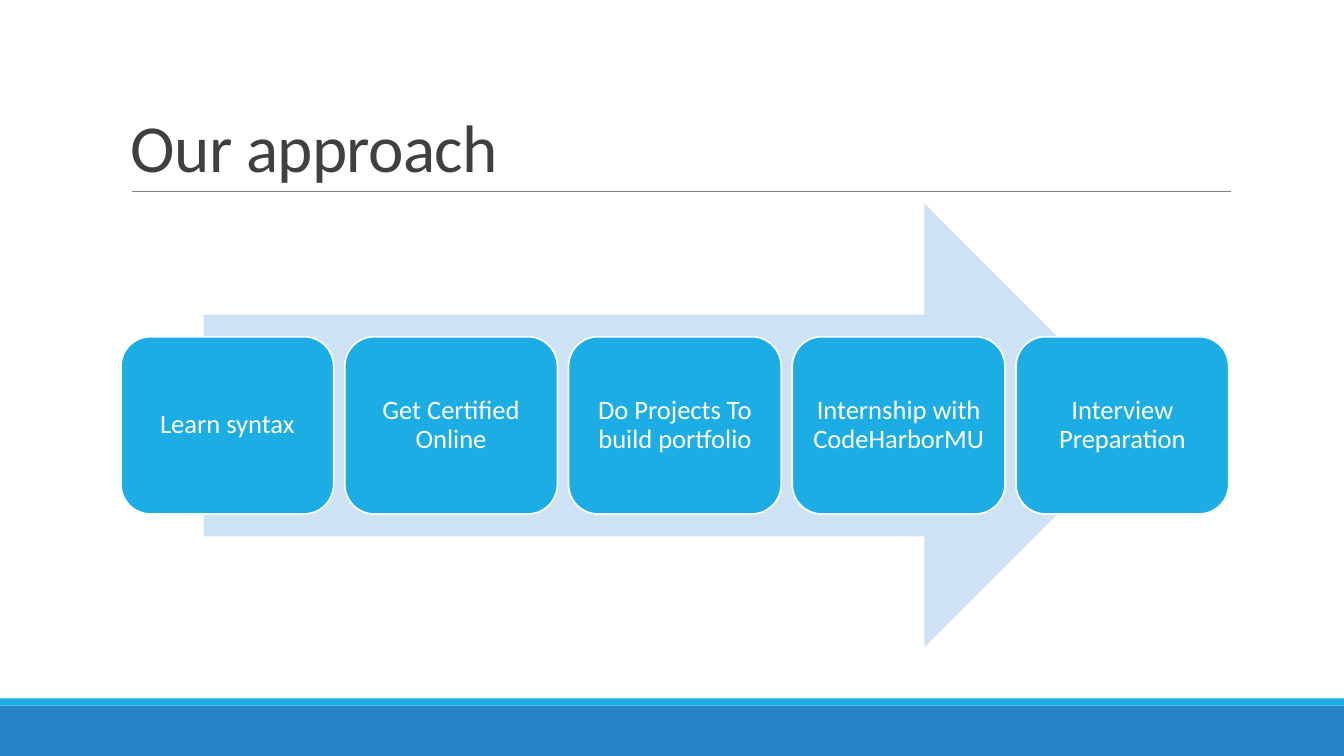
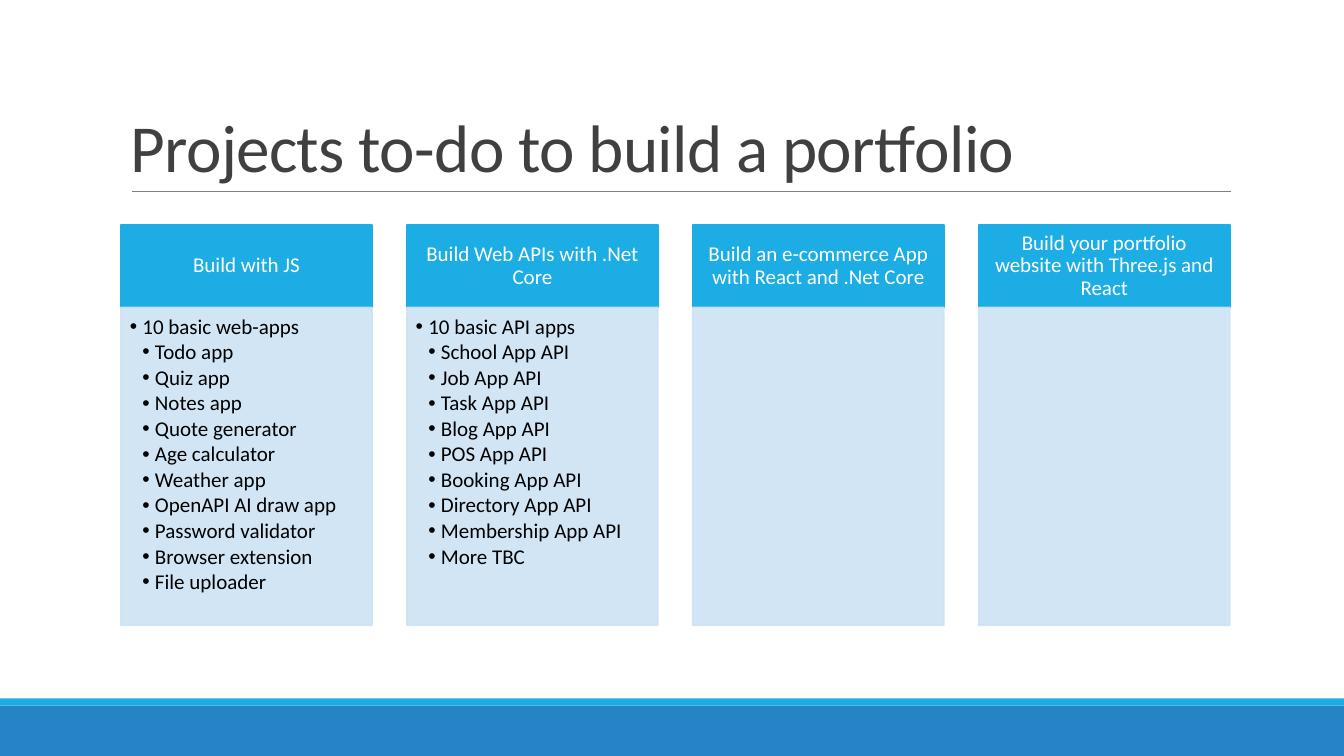
from lxml.etree import SubElement
from pptx import Presentation
from pptx.dml.color import RGBColor
from pptx.enum.shapes import MSO_CONNECTOR as Connector, MSO_SHAPE as Shape
from pptx.enum.text import MSO_ANCHOR as Anchor, PP_ALIGN as Align
from pptx.oxml.ns import qn
from pptx.util import Pt

WHITE = RGBColor(0xFF, 0xFF, 0xFF)
BLACK = RGBColor(0, 0, 0)
CHARCOAL = RGBColor(0x40, 0x40, 0x40)
GRAY = RGBColor(0x80, 0x80, 0x80)
SKY = RGBColor(0x1C, 0xAD, 0xE4)
BLUE = RGBColor(0x26, 0x83, 0xC6)
PALE = RGBColor(0xCD, 0xE3, 0xF5)

FONT = "Calibri"
WIDTH, HEIGHT = 960, 540
LEFT = 86.4


def set_alpha(fill, percent):
    color = fill._xPr.find(qn("a:solidFill"))[0]
    SubElement(color, qn("a:alpha"), val=str(percent * 1000))


def write_text(frame, text, size=15, color=WHITE, align=Align.CENTER, anchor=Anchor.MIDDLE,
               insets=(7.2, 3.6, 7.2, 3.6), line_spacing=0.9, tracking=None,
               bullet_levels=None, space_after=0):
    frame.word_wrap = True
    frame.vertical_anchor = anchor
    frame.margin_left, frame.margin_top, frame.margin_right, frame.margin_bottom = map(Pt, insets)
    frame.text = text
    for index, paragraph in enumerate(frame.paragraphs):
        paragraph.alignment = align
        paragraph.line_spacing = line_spacing
        paragraph.space_after = Pt(space_after)
        font = paragraph.runs[0].font
        font.name, font.size = FONT, Pt(size)
        font.color.rgb = color
        if tracking is not None:
            font._element.set("spc", str(round(tracking * 100)))
        if bullet_levels:
            level = bullet_levels[index]
            paragraph.level = level
            properties = paragraph._p.get_or_add_pPr()
            properties.set("marL", str(Pt(9 * level)))
            properties.set("indent", str(Pt(-9)))
            SubElement(properties, qn("a:buFont"), typeface="Arial")
            SubElement(properties, qn("a:buChar"), char="•")


class Deck:
    def __init__(self):
        self.presentation = Presentation()
        self.presentation.slide_width = Pt(WIDTH)
        self.presentation.slide_height = Pt(HEIGHT)
        self.slide = None

    def new_slide(self, title):
        self.slide = self.presentation.slides.add_slide(self.presentation.slide_layouts[6])
        self.block(0, 504, WIDTH, 36, BLUE)
        self.block(0, 498.8, WIDTH, 5.2, SKY)
        self.rule(94.3, 136.8, 879.1)
        heading = self.slide.shapes.add_textbox(Pt(LEFT), Pt(22.3), Pt(792), Pt(114.5))
        write_text(heading.text_frame, title, size=48, color=CHARCOAL, align=Align.LEFT,
                   anchor=Anchor.BOTTOM, line_spacing=0.85, tracking=-0.5)

    def rule(self, left, top, right):
        line = self.slide.shapes.add_connector(Connector.STRAIGHT, Pt(left), Pt(top),
                                               Pt(right), Pt(top))
        line.line.color.rgb = GRAY
        line.line.width = Pt(0.5)
        SubElement(line._element.spPr, qn("a:effectLst"))

    def block(self, left, top, width, height, color, kind=Shape.RECTANGLE, outline=None,
              opacity=None):
        block = self.slide.shapes.add_shape(kind, Pt(left), Pt(top), Pt(width), Pt(height))
        block.shadow.inherit = False
        block.fill.solid()
        block.fill.fore_color.rgb = color
        if outline is None:
            block.line.fill.background()
        else:
            block.line.color.rgb = outline
            block.line.width = Pt(1.25)
        if opacity is not None:
            set_alpha(block.fill, opacity)
            set_alpha(block.line.fill, opacity)
        return block.text_frame

    def step(self, left, label):
        frame = self.block(left, 240.5, 152, 126.7, SKY, Shape.ROUNDED_RECTANGLE, WHITE)
        write_text(frame, label, size=19, insets=(5.7,) * 4)

    def project_column(self, left, heading, summary=None, apps=()):
        width = 179.3
        header = self.block(left, 160.5, width, 59.1, SKY, outline=SKY)
        write_text(header, heading, insets=(8.4, 4.8, 8.4, 4.8))
        body = self.block(left, 219.6, width, 227, PALE, outline=PALE, opacity=90)
        if summary:
            write_text(body, "\n".join([summary, *apps]), color=BLACK, align=Align.LEFT,
                       anchor=Anchor.TOP, insets=(6.3, 6.3, 8.4, 9.5), space_after=2,
                       bullet_levels=[1] + [2] * len(apps))


STEPS = [
    "Learn syntax",
    "Get Certified Online",
    "Do Projects To build portfolio",
    "Internship with CodeHarborMU",
    "Interview Preparation",
]

PROJECTS = [
    ("Build with JS", "10 basic web-apps", [
        "Todo app", "Quiz app", "Notes app", "Quote generator", "Age calculator",
        "Weather app", "OpenAPI AI draw app", "Password validator",
        "Browser extension", "File uploader"]),
    ("Build Web APIs with .Net Core", "10 basic API apps", [
        "School App API", "Job App API", "Task App API", "Blog App API", "POS App API",
        "Booking App API", "Directory App API", "Membership App API", "More TBC"]),
    ("Build an e-commerce App with React and .Net Core",),
    ("Build your portfolio website with Three.js and React",),
]

deck = Deck()

deck.new_slide("Our approach")
deck.block(145.5, 145.5, 673.2, 316.8, PALE, Shape.RIGHT_ARROW)
for position, label in enumerate(STEPS):
    deck.step(LEFT + position * 159.84, label)

deck.new_slide("Projects to-do to build a portfolio")
for position, project in enumerate(PROJECTS):
    deck.project_column(LEFT + position * 204.24, *project)

deck.presentation.save("out.pptx")
